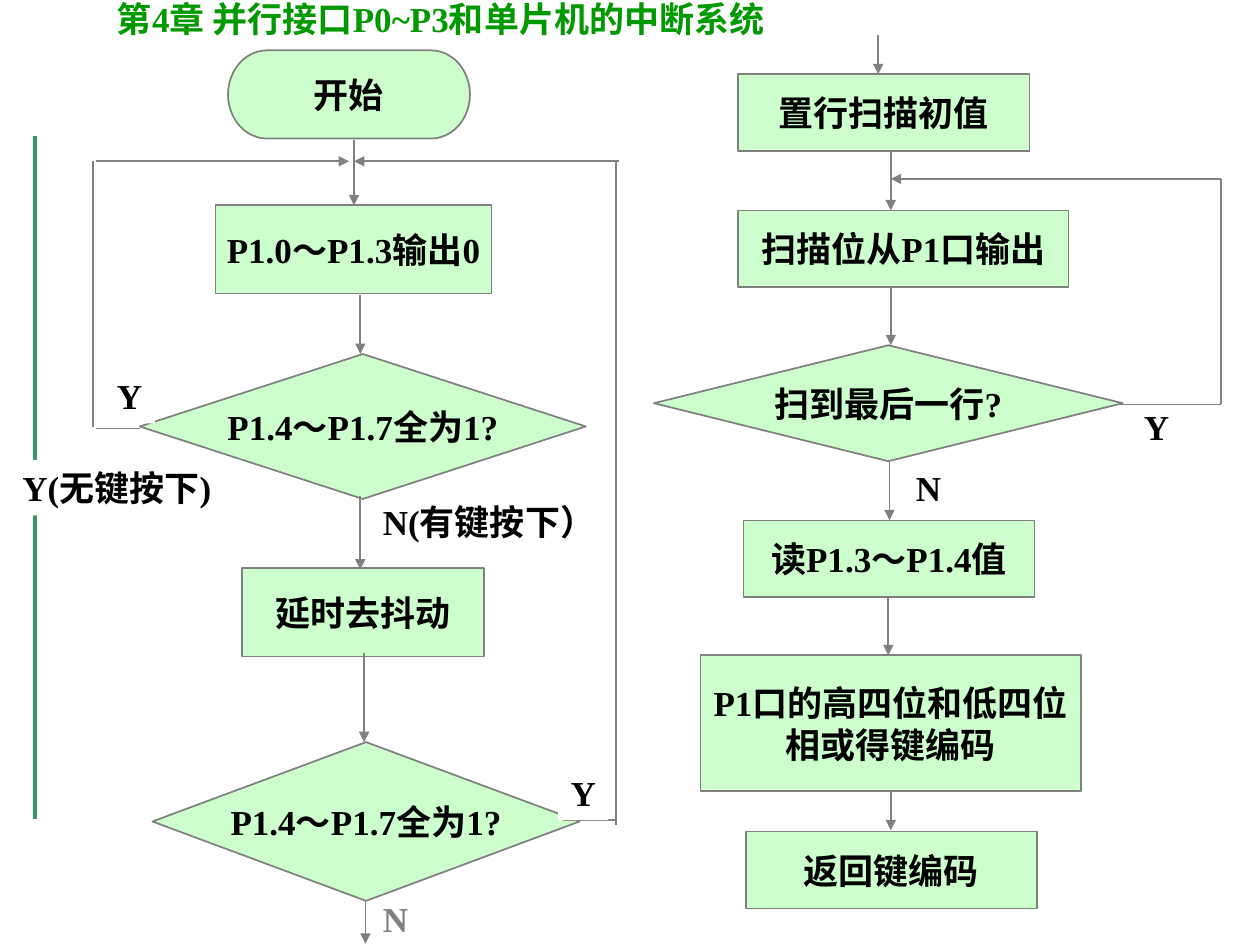
from lxml import etree
from pptx import Presentation
from pptx.dml.color import RGBColor
from pptx.enum.shapes import MSO_CONNECTOR, MSO_SHAPE
from pptx.enum.text import MSO_ANCHOR, MSO_AUTO_SIZE, PP_ALIGN
from pptx.oxml.ns import qn
from pptx.util import Inches, Pt

STEP = MSO_SHAPE.FLOWCHART_PROCESS
TEST = MSO_SHAPE.FLOWCHART_DECISION
ENDS = MSO_SHAPE.FLOWCHART_TERMINATOR
STRAIGHT = MSO_CONNECTOR.STRAIGHT
LEFT, CENTER = PP_ALIGN.LEFT, PP_ALIGN.CENTER
MIDDLE, TOP = MSO_ANCHOR.MIDDLE, MSO_ANCHOR.TOP
FIT, FIXED = MSO_AUTO_SIZE.SHAPE_TO_FIT_TEXT, MSO_AUTO_SIZE.NONE

FONT = "Times New Roman"
CELL = 0.1  # inches; the slide is 100 columns by 75 rows
COLS, ROWS = 100, 75
TALL = 4.4  # rows of one line of text in its box
BLACK, GRAY, WHITE = "000000", "808080", "FFFFFF"
MINT, GREEN, TEAL = "CCFFCC", "009900", "339966"


def color(code):
    return RGBColor.from_string(code)


def place(box, x, y):
    """Turn a column and row of a region into slide lengths."""
    return Inches((box[0] + x) * CELL), Inches((box[1] + y) * CELL)


def write(shape, text, size=20, ink=BLACK, align=LEFT, anchor=TOP,
          wrap=False, fit=FIXED):
    frame = shape.text_frame
    frame.word_wrap = wrap
    frame.auto_size = fit
    frame.vertical_anchor = anchor
    for i, line in enumerate(text.split("\n")):
        para = frame.paragraphs[0] if i == 0 else frame.add_paragraph()
        para.alignment = align
        run = para.add_run()
        run.text = line
        run.font.name = FONT
        run.font.size = Pt(size)
        run.font.bold = True
        run.font.color.rgb = color(ink)


def node(slide, box, kind, x, y, w, h, text):
    shape = slide.shapes.add_shape(kind, *place(box, x, y), *place((0, 0), w, h))
    shape.shadow.inherit = False
    shape.fill.solid()
    shape.fill.fore_color.rgb = color(MINT)
    shape.line.color.rgb = color(GRAY)
    shape.line.width = Pt(1)
    write(shape, text, align=CENTER, anchor=MIDDLE)


def label(slide, box, x, y, w, text, fill=WHITE, **style):
    shape = slide.shapes.add_textbox(*place(box, x, y), *place((0, 0), w, TALL))
    if fill:
        shape.fill.solid()
        shape.fill.fore_color.rgb = color(fill)
    write(shape, text, fit=FIT, **style)


def line(slide, box, x1, y1, x2, y2, arrow=False, ink=GRAY, width=1):
    link = slide.shapes.add_connector(STRAIGHT, *place(box, x1, y1),
                                      *place(box, x2, y2))
    link.line.color.rgb = color(ink)
    link.line.width = Pt(width)
    if arrow:
        etree.SubElement(link.line._get_or_add_ln(), qn("a:tailEnd"),
                         type="triangle")
    etree.SubElement(link._element.spPr, qn("a:effectLst"))


def drops(slide, box, spans):
    """Draw the downward arrows between the steps of a region."""
    for x, top, end in spans:
        line(slide, box, x, top, x, end, arrow=True)


def frame(slide, box):
    # Side rule and chapter title
    line(slide, box, 2.8, 10.8, 2.8, 65, ink=TEAL, width=2.25)
    label(slide, box, 8.3, -0.7, 57.5, "第4章 并行接口P0~P3和单片机的中断系统",
          fill=None, ink=GREEN, wrap=True)


def scan(slide, box):
    """Right half: scan the rows and build the key code."""
    label(slide, box, 39.8, 31.7, 4, "Y")
    # Steps
    for part in (
        (STEP, 8.6, 5.9, 23.1, 6.1, "置行扫描初值"),
        (STEP, 8.6, 16.7, 26.2, 6.1, "扫描位从P1口输出"),
        (TEST, 1.9, 27.4, 37.2, 9.2, "扫到最后一行?"),
        (STEP, 9, 41.3, 23.1, 6.1, "读P1.3～P1.4值"),
        (STEP, 5.6, 52, 30.2, 10.8, "P1口的高四位和低四位\n相或得键编码"),
        (STEP, 9.2, 66, 23.1, 6.1, "返回键编码"),
    ):
        node(slide, box, *part)
    drops(slide, box, (
        (19.7, 2.8, 5.9), (20.7, 12.1, 16.7), (20.7, 22.8, 27.4),
        (20.6, 36.7, 41.3), (20.5, 47.4, 52), (20.7, 62.8, 65.9),
    ))
    # Loop back for the next row
    line(slide, box, 38.8, 32.1, 46.9, 32.1)
    line(slide, box, 46.9, 32.1, 46.9, 14.2)
    line(slide, box, 46.9, 14.2, 20.7, 14.2, arrow=True)
    label(slide, box, 21.7, 36.5, 3.5, "N")


def press(slide, box):
    """Left half: wait for a key and debounce it."""
    label(slide, box, 29.4, 39.2, 23.1, "N(有键按下）", wrap=True)
    label(slide, box, 29.4, 70.7, 4, "N", ink=GRAY)
    # Steps
    ask = "P1.4～P1.7全为1?"
    for part in (
        (ENDS, 18.1, 4, 19.2, 7, "开始"),
        (STEP, 17.1, 16.3, 21.9, 7, "P1.0～P1.3输出0"),
        (STEP, 19.2, 45.1, 19.2, 7, "延时去抖动"),
        (TEST, 11.1, 28.1, 35.4, 11.5, ask),
        (TEST, 12.1, 58.9, 33.9, 12.6, ask),
    ):
        node(slide, box, *part)
    drops(slide, box, (
        (28.1, 11.1, 16.3), (28.6, 23.4, 28.1), (28.6, 39.4, 45.2),
        (28.9, 51.8, 58.9), (29, 71.4, 74.9),
    ))
    # Loop back on the left
    line(slide, box, 7.6, 12.8, 27.7, 12.8, arrow=True)
    line(slide, box, 7.4, 12.8, 7.4, 33.9)
    # Loop back on the right
    line(slide, box, 49.1, 12.8, 28.1, 12.8, arrow=True)
    line(slide, box, 48.9, 12.8, 48.9, 65.5)
    line(slide, box, 48.9, 65.1, 44.7, 65.1)
    # Branch labels lie over the edges of the tests
    label(slide, box, 44.3, 60.7, 4, "Y")
    label(slide, box, 8.3, 29.2, 4, "Y")
    line(slide, box, 7.6, 34, 11.1, 34)
    label(slide, box, 0.8, 36.5, 18.3, "Y(无键按下)", wrap=True)


def main():
    deck = Presentation()
    deck.slide_width, deck.slide_height = place((0, 0), COLS, ROWS)
    slide = deck.slides.add_slide(deck.slide_layouts[6])
    half = COLS / 2
    frame(slide, (0, 0))
    scan(slide, (half, 0))
    press(slide, (0, 0))
    deck.save("out.pptx")


if __name__ == "__main__":
    main()
